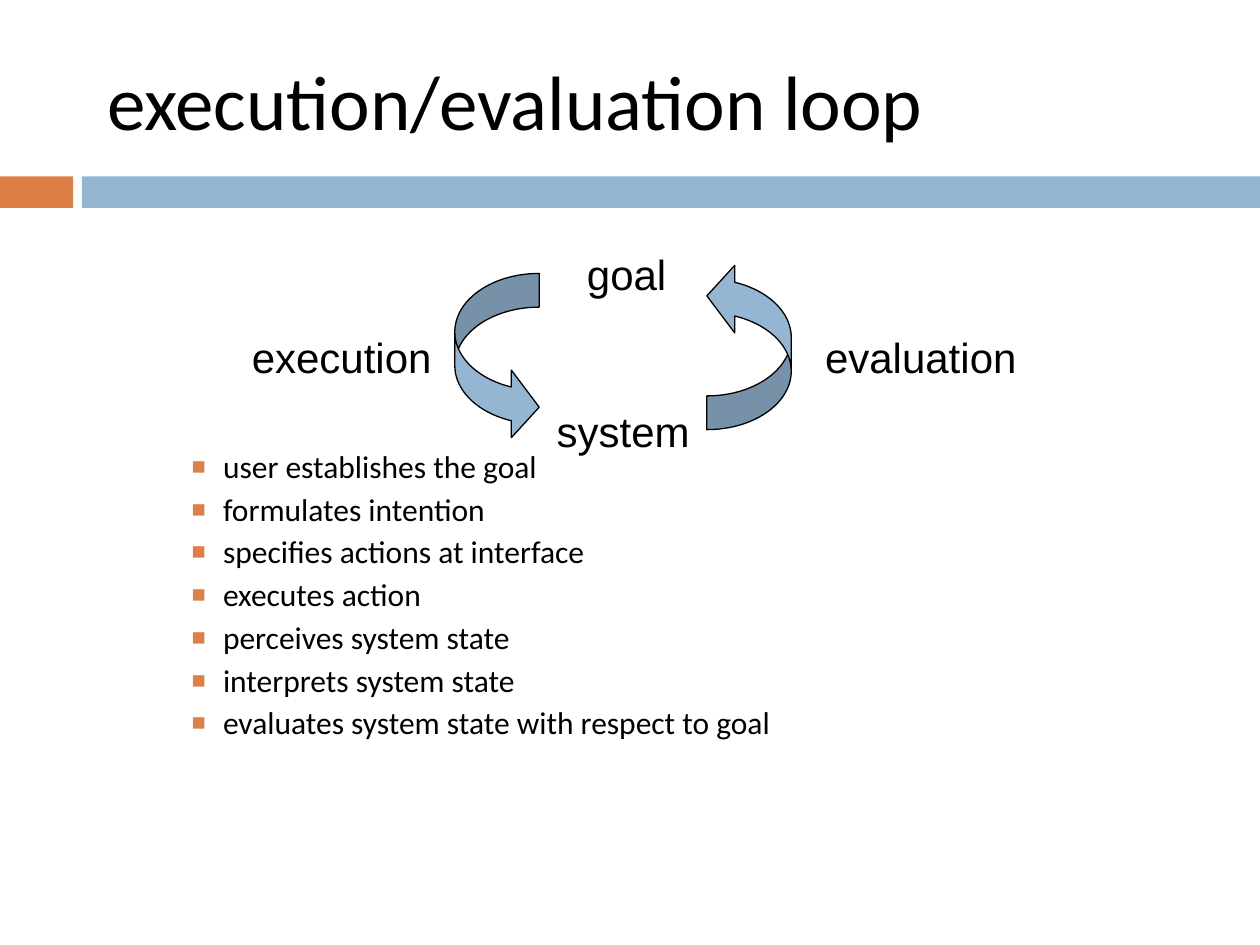
from dataclasses import dataclass

from lxml.etree import SubElement
from pptx import Presentation
from pptx.dml.color import RGBColor
from pptx.enum.shapes import MSO_SHAPE
from pptx.enum.text import MSO_ANCHOR, MSO_AUTO_SIZE, PP_ALIGN
from pptx.oxml.ns import qn
from pptx.util import Inches, Pt


@dataclass(frozen=True)
class Theme:
    orange: RGBColor = RGBColor(0xDD, 0x80, 0x47)
    blue: RGBColor = RGBColor(0x94, 0xB6, 0xD2)
    black: RGBColor = RGBColor(0, 0, 0)
    text_font: str = "Calibri"
    label_font: str = "Arial"
    title_size: Pt = Pt(44)
    list_size: Pt = Pt(18)
    label_size: Pt = Pt(24)


theme = Theme()


def style_text(paragraph, name, size):
    paragraph.alignment = PP_ALIGN.LEFT
    paragraph.font.name = name
    paragraph.font.size = size
    paragraph.font.color.rgb = theme.black


def add_square_bullet(paragraph):
    properties = paragraph._p.get_or_add_pPr()
    properties.set("marL", str(Inches(1)))
    properties.set("indent", str(Inches(-0.25)))
    color = SubElement(properties, qn("a:buClr"))
    SubElement(color, qn("a:srgbClr"), val=str(theme.orange))
    SubElement(properties, qn("a:buSzPct"), val="75000")
    SubElement(properties, qn("a:buFont"), typeface=theme.label_font)
    SubElement(properties, qn("a:buChar"), char="■")


prs = Presentation()
prs.slide_width, prs.slide_height = Inches(10), Inches(7.5)
slide = prs.slides.add_slide(prs.slide_layouts[1])

# Title
title = slide.shapes.title
title.left, title.top = Inches(0.75), Inches(0.17)
title.width, title.height = Inches(7.5), Inches(1.25)
title.text_frame.text = "execution/evaluation loop"
title.text_frame.auto_size = MSO_AUTO_SIZE.NONE
title.text_frame.vertical_anchor = MSO_ANCHOR.MIDDLE
style_text(title.text_frame.paragraphs[0], theme.text_font, theme.title_size)

# Steps of the loop, starting below the diagram
steps = slide.placeholders[1]
steps.left, steps.top = Inches(0.67), Inches(1.75)
steps.width, steps.height = Inches(8.92), Inches(4.92)
steps_frame = steps.text_frame
steps_frame.text = "\n".join([
    "user establishes the goal",
    "formulates intention",
    "specifies actions at interface",
    "executes action",
    "perceives system state",
    "interprets system state",
    "evaluates system state with respect to goal",
])
steps_frame.auto_size = MSO_AUTO_SIZE.NONE
steps_frame.margin_top = Inches(1.83)
for step in steps_frame.paragraphs:
    step.level = 2
    step.line_spacing = 0.9
    step.space_before = Pt(5)
    style_text(step, theme.text_font, theme.list_size)
    add_square_bullet(step)

# Two-colour band under the title
for left, width, color in [(0, 0.58, theme.orange), (0.65, 9.35, theme.blue)]:
    band = slide.shapes.add_shape(
        MSO_SHAPE.RECTANGLE, Inches(left), Inches(1.4), Inches(width), Inches(0.25))
    band.shadow.inherit = False
    band.fill.solid()
    band.fill.fore_color.rgb = color
    band.line.fill.background()

# Loop diagram: labels, each wide enough for its word on one line
loop = slide.shapes.add_group_shape()
for text, left, top, width in [
    ("system", 4.32, 3.17, 1.3),
    ("evaluation", 6.45, 2.58, 1.77),
    ("execution", 1.9, 2.58, 1.67),
    ("goal", 4.56, 1.92, 0.88),
]:
    label = loop.shapes.add_textbox(
        Inches(left), Inches(top), Inches(width), Inches(0.5))
    label.text_frame.text = text
    label.text_frame.word_wrap = True
    label.text_frame.auto_size = MSO_AUTO_SIZE.NONE
    style_text(label.text_frame.paragraphs[0], theme.label_font, theme.label_size)

# Loop diagram: execution arrow, and evaluation arrow turned half round
for left, top, rotation in [(3.61, 2.17, 0), (5.61, 2.08, 180)]:
    arrow = loop.shapes.add_shape(
        MSO_SHAPE.CURVED_RIGHT_ARROW,
        Inches(left), Inches(top), Inches(0.67), Inches(1.33))
    arrow.rotation = rotation
    for index, proportion in enumerate([0.4, 0.8, 0.33]):
        arrow.adjustments[index] = proportion
    arrow.shadow.inherit = False
    arrow.fill.solid()
    arrow.fill.fore_color.rgb = theme.blue
    arrow.line.color.rgb = theme.black
    arrow.line.width = Pt(0.75)

prs.save("out.pptx")
